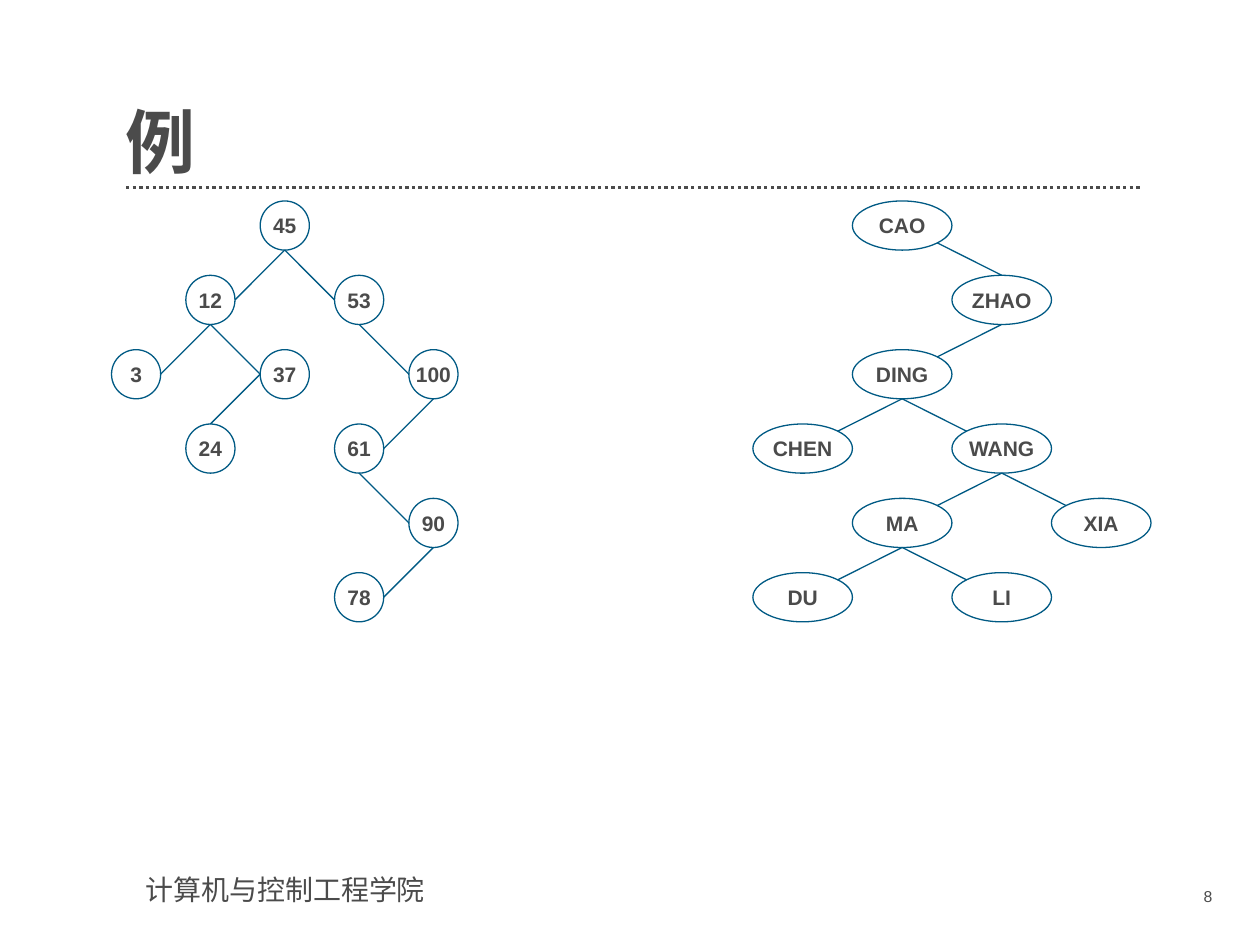
import pptx
import pptx.dml.color
import pptx.enum.dml
import pptx.enum.shapes
import pptx.enum.text
import pptx.oxml.ns
import pptx.util
from lxml import etree

Inches = pptx.util.Inches
Align = pptx.enum.text.PP_ALIGN
Anchor = pptx.enum.text.MSO_ANCHOR

COLORS = {"text": "4B4B4B", "node": "005A84"}
LATIN, CJK = "Arial", "Noto Sans CJK SC"

TITLE = "例"
SCHOOL = "计算机与控制工程学院"
PAGE_NUMBER = "8"

# Nodes are label: (column, row); edges are parent, child, parent anchor, child anchor.
NUMBER_TREE = {
    "first_center": (1.08, 1.79), "step": (0.59, 0.59), "size": (0.39, 0.39),
    "nodes": {"45": (2, 0), "12": (1, 1), "53": (3, 1), "3": (0, 2), "37": (2, 2),
              "100": (4, 2), "24": (1, 3), "61": (3, 3), "90": (4, 4), "78": (3, 5)},
    "edges": [("45", "12", "bottom", "right"), ("12", "3", "bottom", "right"),
              ("45", "53", "bottom", "left"), ("53", "100", "bottom", "left"),
              ("12", "37", "bottom", "left"), ("37", "24", "left", "top"),
              ("100", "61", "bottom", "right"), ("61", "90", "bottom", "left"),
              ("90", "78", "bottom", "right")],
}
NAME_TREE = {
    "first_center": (6.37, 1.79), "step": (0.79, 0.59), "size": (0.79, 0.39),
    "nodes": {"CAO": (1, 0), "ZHAO": (2, 1), "DING": (1, 2), "WANG": (2, 3), "CHEN": (0, 3),
              "MA": (1, 4), "XIA": (3, 4), "LI": (2, 5), "DU": (0, 5)},
    "edges": [("CAO", "ZHAO", "lower right", "top"),
              ("ZHAO", "DING", "bottom", "upper right"),
              ("DING", "CHEN", "bottom", "upper right"),
              ("DING", "WANG", "bottom", "upper left"),
              ("WANG", "XIA", "bottom", "upper left"),
              ("WANG", "MA", "bottom", "upper right"),
              ("MA", "DU", "bottom", "upper right"),
              ("MA", "LI", "bottom", "upper left")],
}
# Offsets from an ellipse's centre, as fractions of its width and height.
ANCHORS = {
    "top": (0, -0.5), "bottom": (0, 0.5), "left": (-0.5, 0), "right": (0.5, 0),
    "upper left": (-0.35, -0.35), "upper right": (0.35, -0.35), "lower right": (0.35, 0.35),
}


def rgb(name):
    return pptx.dml.color.RGBColor.from_string(COLORS[name])


def write(shape, text, size, font=LATIN, bold=False, align=Align.LEFT,
          anchor=Anchor.TOP, inset=(0.1, 0.05), wrap=True):
    frame = shape.text_frame
    frame.margin_left = frame.margin_right = Inches(inset[0])
    frame.margin_top = frame.margin_bottom = Inches(inset[1])
    frame.word_wrap = wrap
    frame.vertical_anchor = anchor
    frame.text = text
    para = frame.paragraphs[0]
    para.alignment = align
    span = para.runs[0]
    span.font.name = font
    span.font.size = pptx.util.Pt(size)
    span.font.bold = bold
    span.font.color.rgb = rgb("text")
    east_asian = etree.SubElement(span.font._element, pptx.oxml.ns.qn("a:ea"))
    east_asian.set("typeface", CJK)
    return para


def add_line(page, start, end, color, width):
    line = page.shapes.add_connector(
        pptx.enum.shapes.MSO_CONNECTOR.STRAIGHT, *map(Inches, (*start, *end)))
    line.line.color.rgb = rgb(color)
    line.line.width = pptx.util.Pt(width)
    etree.SubElement(line._element.spPr, pptx.oxml.ns.qn("a:effectLst"))
    return line


def add_text(page, place, text, size, **style):
    return write(page.shapes.add_textbox(*map(Inches, place)), text, size, **style)


def add_tree(page, tree):
    width, height = tree["size"]
    centers = {
        label: tuple(first + step * index for first, step, index
                     in zip(tree["first_center"], tree["step"], cell))
        for label, cell in tree["nodes"].items()
    }

    def point(label, anchor):
        (x, y), (dx, dy) = centers[label], ANCHORS[anchor]
        return x + dx * width, y + dy * height

    for label, (x, y) in centers.items():
        node = page.shapes.add_shape(
            pptx.enum.shapes.MSO_SHAPE.OVAL,
            *map(Inches, (x - width / 2, y - height / 2, width, height)))
        node.shadow.inherit = False
        node.fill.background()
        node.line.color.rgb = rgb("node")
        node.line.width = pptx.util.Pt(0.75)
        write(node, label, 12, bold=True, align=Align.CENTER, anchor=Anchor.MIDDLE,
              inset=(0, 0), wrap=False)
    for parent, child, leave, arrive in tree["edges"]:
        add_line(page, point(parent, leave), point(child, arrive), "node", 0.75)


def main():
    deck = pptx.Presentation()
    deck.slide_width, deck.slide_height = Inches(10), Inches(7.5)
    page = deck.slides.add_slide(deck.slide_layouts[6])

    rule = add_line(page, (1, 1.49), (9.06, 1.49), "text", 1.9)
    rule.line.dash_style = pptx.enum.dml.MSO_LINE.ROUND_DOT
    add_text(page, (1.06, 6.88, 2.76, 0.37), SCHOOL, 16)
    title = add_text(page, (1, 0.55, 8.06, 0.91), TITLE, 40, font=CJK, bold=True,
                     anchor=Anchor.BOTTOM, inset=(0, 0))
    title.line_spacing = 0.9
    add_text(page, (8.73, 6.99, 0.99, 0.29), PAGE_NUMBER, 9, align=Align.RIGHT)

    for tree in (NUMBER_TREE, NAME_TREE):
        add_tree(page, tree)
    deck.save("out.pptx")


if __name__ == "__main__":
    main()
